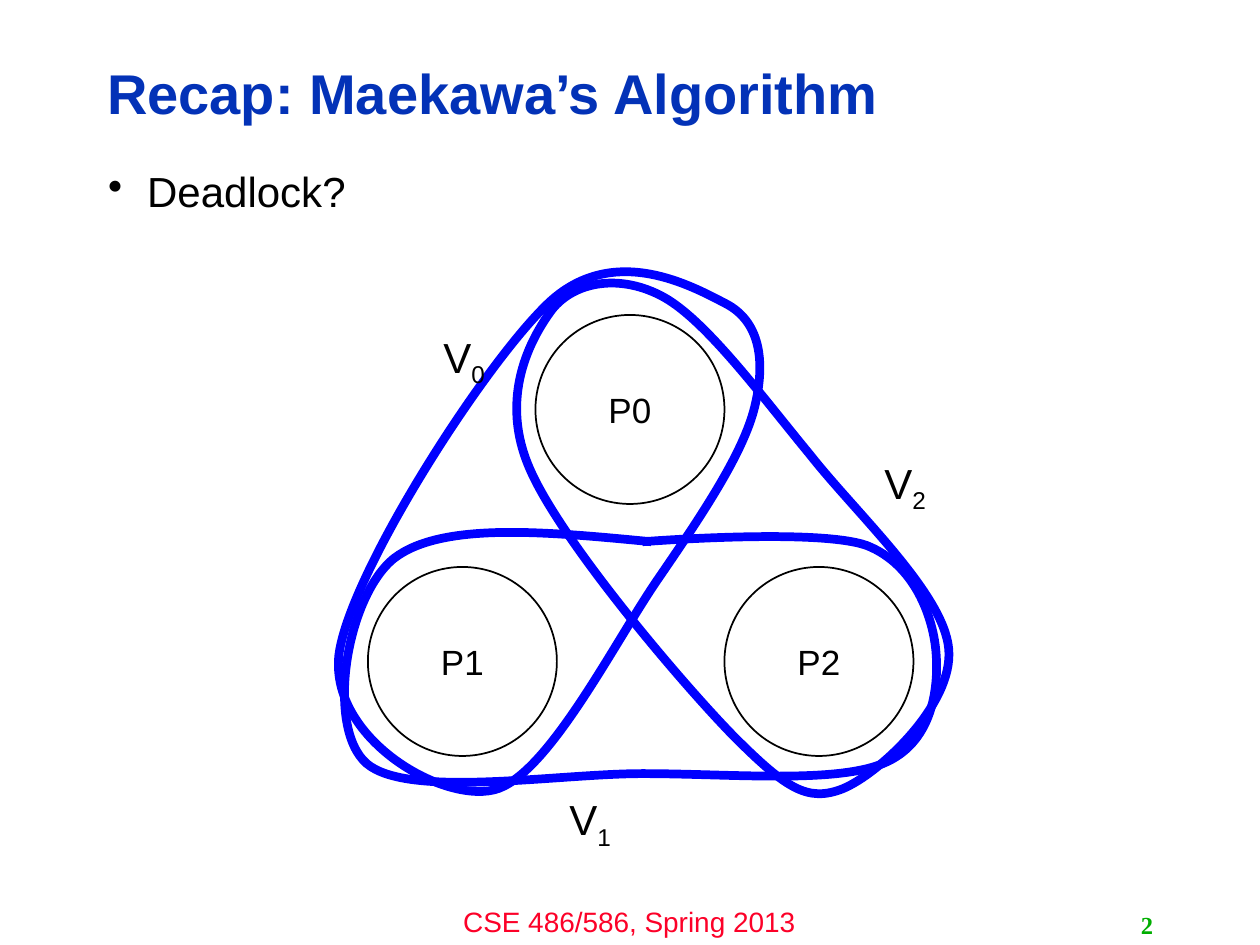
import pptx
import pptx.dml.color
import pptx.enum.shapes
import pptx.enum.text
import pptx.oxml
import pptx.oxml.ns
import pptx.util

Inches = pptx.util.Inches
Pt = pptx.util.Pt
PP_ALIGN = pptx.enum.text.PP_ALIGN
MSO_ANCHOR = pptx.enum.text.MSO_ANCHOR
qn = pptx.oxml.ns.qn


def rgb(value):
    return pptx.dml.color.RGBColor.from_string(value)


def write(sp, text, size=24, color="000000", font="Arial", bold=False,
          align=PP_ALIGN.LEFT, anchor=MSO_ANCHOR.TOP, spacing=1.0, sub=""):
    tf = sp.text_frame
    tf.word_wrap = True
    tf.auto_size = pptx.enum.text.MSO_AUTO_SIZE.NONE
    tf.vertical_anchor = anchor
    p = tf.paragraphs[0]
    p.alignment = align
    p.line_spacing = spacing
    for part in filter(None, (text, sub)):
        r = p.add_run()
        r.text = part
        r.font.size = Pt(size)
        r.font.name = font
        r.font.bold = bold
        r.font.color.rgb = rgb(color)
    if sub:
        r.font._element.set("baseline", "-25000")
    return p


prs = pptx.Presentation()
prs.slide_width = Inches(10)
prs.slide_height = Inches(7.5)
s = prs.slides.add_slide(prs.slide_layouts[5])

title = s.shapes.title
title.left, title.top = Inches(0.75), Inches(0.36)
title.width, title.height = Inches(7.98), Inches(0.81)
write(title, "Recap: Maekawa’s Algorithm", size=32, color="0332B7", bold=True,
      anchor=MSO_ANCHOR.MIDDLE, spacing=0.9)

body = s.shapes.add_textbox(Inches(0.76), Inches(1.31), Inches(8.4), Inches(5.39))
p = write(body, "Deadlock?", spacing=0.9)
pPr = p._p.get_or_add_pPr()
pPr.set("marL", str(Inches(0.31)))
pPr.set("indent", str(-Inches(0.31)))
bullet = pptx.oxml.parse_xml(
    '<a:buChar xmlns:a="http://schemas.openxmlformats.org/drawingml/2006/main" char="•"/>')
pPr.append(bullet)

footer = s.shapes.add_textbox(Inches(3.33), Inches(7.13), Inches(3.33), Inches(0.37))
write(footer, "CSE 486/586, Spring 2013", size=16, color="FC0128", align=PP_ALIGN.CENTER)

number = s.shapes.add_textbox(Inches(7.17), Inches(7.18), Inches(2.08), Inches(0.32))
write(number, "2", size=14, color="00AE00", font="Times New Roman", bold=True,
      align=PP_ALIGN.RIGHT, anchor=MSO_ANCHOR.MIDDLE)

for name, x, y in [("P0", 4.25, 2.5), ("P1", 2.92, 4.5), ("P2", 5.75, 4.5)]:
    sp = s.shapes.add_shape(pptx.enum.shapes.MSO_SHAPE.OVAL,
                            Inches(x), Inches(y), Inches(1.5), Inches(1.5))
    sp.shadow.inherit = False
    sp.fill.solid()
    sp.fill.fore_color.rgb = rgb("FFFFFF")
    sp.line.color.rgb = rgb("000000")
    sp.line.width = Pt(1)
    write(sp, name, size=20, align=PP_ALIGN.CENTER, anchor=MSO_ANCHOR.MIDDLE)

# Bézier points in hundredths of an inch: start, then two controls and an end per curve
voting_sets = [
    (True, [(576, 241), (549, 227), (488, 193), (437, 239),
            (386, 286), (277, 456), (269, 520),
            (262, 585), (349, 637), (392, 627),
            (434, 617), (487, 511), (522, 460),
            (557, 409), (590, 360), (599, 323),
            (608, 286), (603, 255), (576, 241)]),
    (False, [(517, 430), (434, 422), (351, 414), (313, 443),
             (275, 473), (258, 577), (291, 606),
             (324, 634), (442, 614), (510, 614),
             (579, 614), (662, 622), (701, 606),
             (740, 590), (745, 547), (743, 519),
             (741, 490), (726, 448), (688, 433),
             (649, 419), (510, 430), (510, 430)]),
    (True, [(438, 246), (456, 223), (493, 217), (527, 236),
            (561, 255), (605, 315), (643, 361),
            (680, 408), (749, 471), (753, 515),
            (757, 559), (698, 614), (669, 626),
            (641, 637), (624, 626), (582, 584),
            (541, 542), (444, 428), (420, 371),
            (396, 315), (421, 269), (438, 246)]),
]
for closed, points in voting_sets:
    fb = s.shapes.build_freeform(*points[0], scale=Inches(0.01))
    fb.add_line_segments(points[1:], close=closed)
    sp = fb.convert_to_shape()
    sp.shadow.inherit = False
    sp.fill.background()
    sp.line.color.rgb = rgb("0000FF")
    sp.line.width = Pt(5)
    segments = list(sp._element.iter(qn("a:lnTo")))
    for i in range(0, len(segments), 3):
        curve = segments[i].makeelement(qn("a:cubicBezTo"))
        segments[i].addprevious(curve)
        for segment in segments[i:i + 3]:
            curve.append(segment[0])
            segment.getparent().remove(segment)

for index, x, y in [("0", 3.42, 2.58), ("1", 4.42, 6.25), ("2", 6.92, 3.58)]:
    label = s.shapes.add_textbox(Inches(x), Inches(y), Inches(0.83), Inches(0.5))
    write(label, "V", sub=index)

prs.save("out.pptx")
